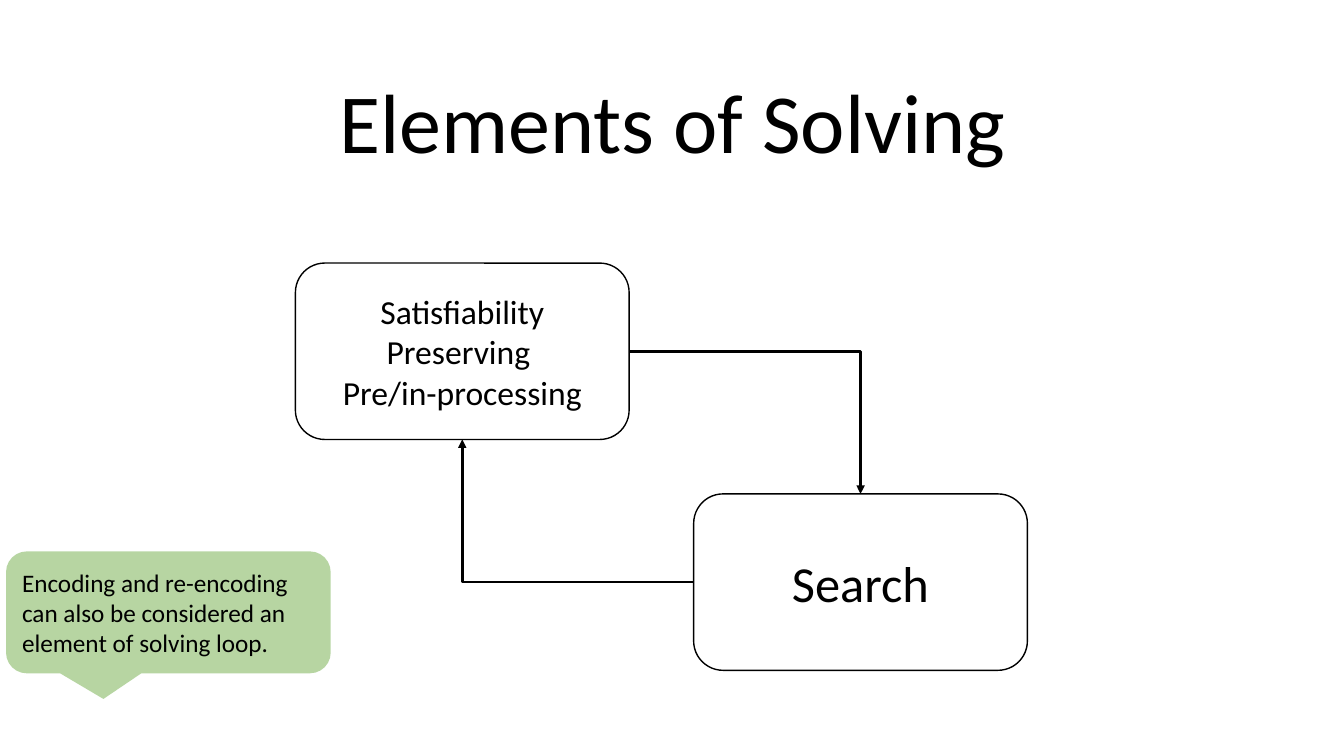
from dataclasses import dataclass

from lxml import etree
from pptx import Presentation
from pptx.dml.color import RGBColor
from pptx.enum import shapes, text
from pptx.oxml import ns
from pptx.shapes.autoshape import Shape
from pptx.slide import Slide
from pptx.util import Inches, Pt


@dataclass(frozen=True)
class Theme:
    font: str = "Calibri"
    ink: RGBColor = RGBColor(0x00, 0x00, 0x00)
    paper: RGBColor = RGBColor(0xFF, 0xFF, 0xFF)
    note: RGBColor = RGBColor(0x70, 0xAD, 0x47)
    note_alpha: int = 50000
    title_size: int = 60
    note_size: int = 18
    outline: float = 1
    arrow: float = 2


@dataclass(frozen=True)
class Stage:
    lines: tuple[str, ...]
    left: float
    top: float
    size: int


@dataclass(frozen=True)
class Flow:
    source: int
    source_site: int
    target: int
    target_site: int


THEME = Theme()
STAGE_WIDTH, STAGE_HEIGHT = 3.31, 1.75
TOP, LEFT, BOTTOM, RIGHT = range(4)
STAGES = (
    Stage(("Satisfiability Preserving ", "Pre/in-processing"), 2.93, 2.61, 24),
    Stage(("Search",), 6.88, 4.9, 36),
)
FLOWS = (Flow(0, RIGHT, 1, TOP), Flow(1, LEFT, 0, BOTTOM))
NOTE_LINES = (
    "Encoding and re-encoding",
    "can also be considered an",
    "element of solving loop.",
)


def add_run(paragraph, words: str, size: int) -> None:
    run = paragraph.add_run()
    run.text = words
    run.font.name = THEME.font
    run.font.size = Pt(size)
    run.font.color.rgb = THEME.ink


def add_title(slide: Slide, words: str) -> None:
    title = slide.shapes.title
    title.left, title.top = Inches(1.67), Inches(0.65)
    title.width, title.height = Inches(10), Inches(1.1)
    frame = title.text_frame
    frame.auto_size = text.MSO_AUTO_SIZE.NONE
    frame.vertical_anchor = text.MSO_ANCHOR.BOTTOM
    heading = frame.paragraphs[0]
    heading.alignment = text.PP_ALIGN.CENTER
    heading.line_spacing = 0.9
    add_run(heading, words, THEME.title_size)


def add_stage(slide: Slide, stage: Stage) -> Shape:
    box = slide.shapes.add_shape(
        shapes.MSO_SHAPE.ROUNDED_RECTANGLE,
        Inches(stage.left), Inches(stage.top),
        Inches(STAGE_WIDTH), Inches(STAGE_HEIGHT),
    )
    box.shadow.inherit = False
    box.fill.solid()
    box.fill.fore_color.rgb = THEME.paper
    box.line.color.rgb = THEME.ink
    box.line.width = Pt(THEME.outline)
    box.text_frame.vertical_anchor = text.MSO_ANCHOR.MIDDLE
    label = box.text_frame.paragraphs[0]
    label.alignment = text.PP_ALIGN.CENTER
    for index, line in enumerate(stage.lines):
        if index:
            label.add_line_break()
        add_run(label, line, stage.size)
    return box


def add_flow(slide: Slide, flow: Flow, boxes: list[Shape]) -> None:
    arrow = slide.shapes.add_connector(shapes.MSO_CONNECTOR.ELBOW, 0, 0, 0, 0)
    arrow.begin_connect(boxes[flow.source], flow.source_site)
    arrow.end_connect(boxes[flow.target], flow.target_site)
    arrow.line.color.rgb = THEME.ink
    arrow.line.width = Pt(THEME.arrow)
    properties = arrow._element.spPr
    properties.find(ns.qn("a:prstGeom")).set("prst", "bentConnector2")
    outline = properties.find(ns.qn("a:ln"))
    etree.SubElement(outline, ns.qn("a:tailEnd")).set("type", "triangle")
    etree.SubElement(properties, ns.qn("a:effectLst"))


def add_note(slide: Slide, lines: tuple[str, ...]) -> None:
    note = slide.shapes.add_shape(
        shapes.MSO_SHAPE.ROUNDED_RECTANGULAR_CALLOUT,
        Inches(0.06), Inches(5.47), Inches(3.22), Inches(1.21),
    )
    note.shadow.inherit = False
    for index, value in enumerate((-0.2, 0.71, 0.17)):
        note.adjustments[index] = value
    note.fill.solid()
    note.fill.fore_color.rgb = THEME.note
    tint = note._element.spPr.find(f"{ns.qn('a:solidFill')}/{ns.qn('a:srgbClr')}")
    etree.SubElement(tint, ns.qn("a:alpha")).set("val", str(THEME.note_alpha))
    note.line.fill.background()
    frame = note.text_frame
    frame.vertical_anchor = text.MSO_ANCHOR.MIDDLE
    for index, line in enumerate(lines):
        paragraph = frame.add_paragraph() if index else frame.paragraphs[0]
        paragraph.alignment = text.PP_ALIGN.LEFT
        add_run(paragraph, line, THEME.note_size)


def main() -> None:
    deck = Presentation()
    deck.slide_width, deck.slide_height = Inches(13.33), Inches(7.5)
    slide = deck.slides.add_slide(deck.slide_layouts[5])
    add_title(slide, "Elements of Solving")
    boxes = [add_stage(slide, stage) for stage in STAGES]
    for flow in FLOWS:
        add_flow(slide, flow, boxes)
    add_note(slide, NOTE_LINES)
    deck.save("out.pptx")


if __name__ == "__main__":
    main()
